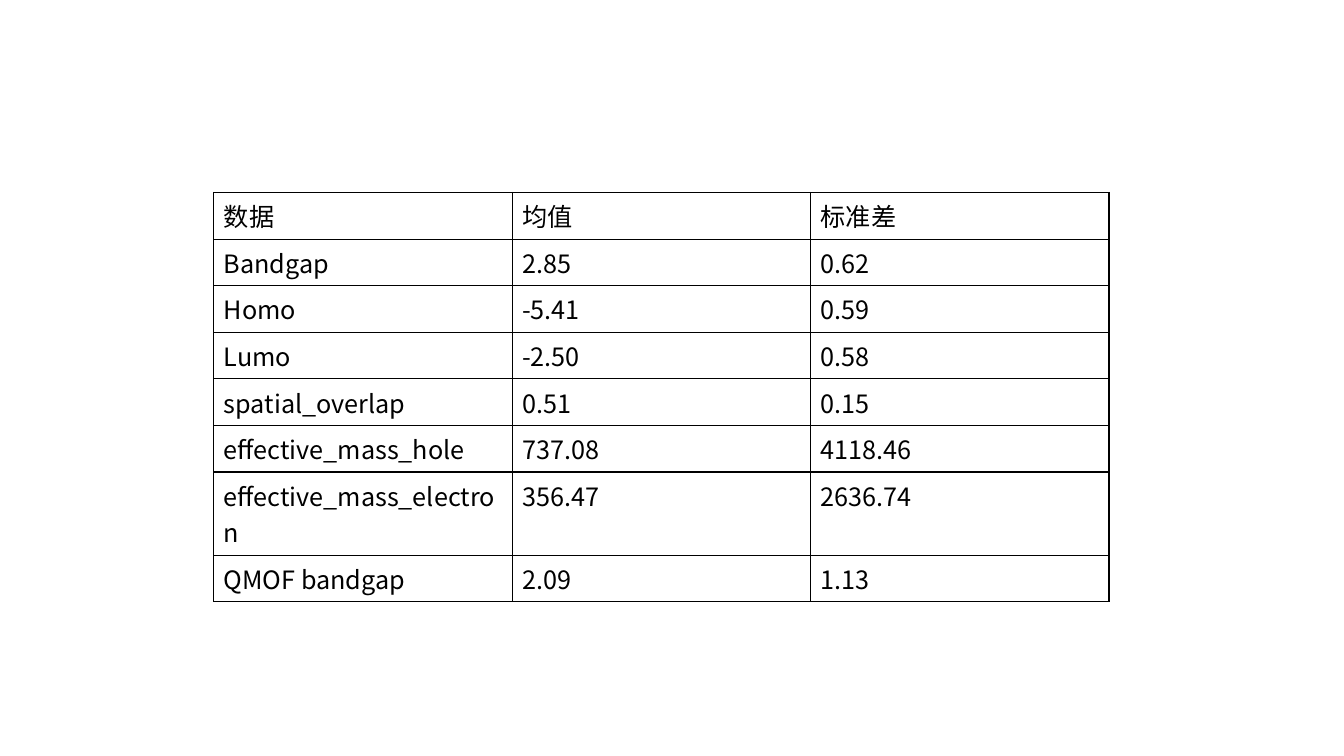
from dataclasses import astuple, dataclass

from lxml.etree import SubElement
from pptx import Presentation
from pptx.dml.color import RGBColor
from pptx.oxml.ns import qn
from pptx.slide import Slide
from pptx.table import Table, _Cell
from pptx.util import Inches, Pt

BLACK = RGBColor(0, 0, 0)
FONT_NAME = "Noto Sans CJK SC"
TEXT_FORMAT = {"name": FONT_NAME, "size": Pt(18)}
BORDER_SIDES = ("a:lnL", "a:lnR", "a:lnT", "a:lnB")
BORDER_WIDTH = Pt(1)

SLIDE_WIDTH, SLIDE_HEIGHT = Inches(13.33), Inches(7.5)
TABLE_LEFT, TABLE_TOP = Inches(2.12), Inches(1.91)
COLUMN_WIDTH, ROW_HEIGHT = Inches(2.96), Inches(0.41)


@dataclass(frozen=True)
class Statistic:
    label: str
    mean: str
    deviation: str


STATISTICS = [
    Statistic("数据", "均值", "标准差"),
    Statistic("Bandgap", "2.85", "0.62"),
    Statistic("Homo", "-5.41", "0.59"),
    Statistic("Lumo", "-2.50", "0.58"),
    Statistic("spatial_overlap", "0.51", "0.15"),
    Statistic("effective_mass_hole", "737.08", "4118.46"),
    Statistic("effective_mass_electron", "356.47", "2636.74"),
    Statistic("QMOF bandgap", "2.09", "1.13"),
]


def draw_borders(cell: _Cell) -> None:
    properties = cell._tc.get_or_add_tcPr()
    for side in BORDER_SIDES:
        line = SubElement(properties, qn(side), w=str(int(BORDER_WIDTH)))
        fill = SubElement(line, qn("a:solidFill"))
        SubElement(fill, qn("a:srgbClr"), val=str(BLACK))


def write_text(cell: _Cell, text: str) -> None:
    span = cell.text_frame.paragraphs[0].add_run()
    span.text = text
    for attribute, value in TEXT_FORMAT.items():
        setattr(span.font, attribute, value)
    span.font.color.rgb = BLACK
    SubElement(span._r.get_or_add_rPr(), qn("a:ea"), typeface=FONT_NAME)


def add_statistics_table(page: Slide, statistics: list[Statistic]) -> Table:
    rows = [astuple(statistic) for statistic in statistics]
    column_count = len(rows[0])
    table = page.shapes.add_table(
        len(rows), column_count, TABLE_LEFT, TABLE_TOP,
        COLUMN_WIDTH * column_count, ROW_HEIGHT * len(rows),
    ).table
    table.first_row = table.horz_banding = False
    for row_index, texts in enumerate(rows):
        for column_index, text in enumerate(texts):
            cell = table.cell(row_index, column_index)
            draw_borders(cell)
            cell.fill.background()
            write_text(cell, text)
    return table


deck = Presentation()
deck.slide_width, deck.slide_height = SLIDE_WIDTH, SLIDE_HEIGHT
page = deck.slides.add_slide(deck.slide_layouts[6])
add_statistics_table(page, STATISTICS)
deck.save("out.pptx")
